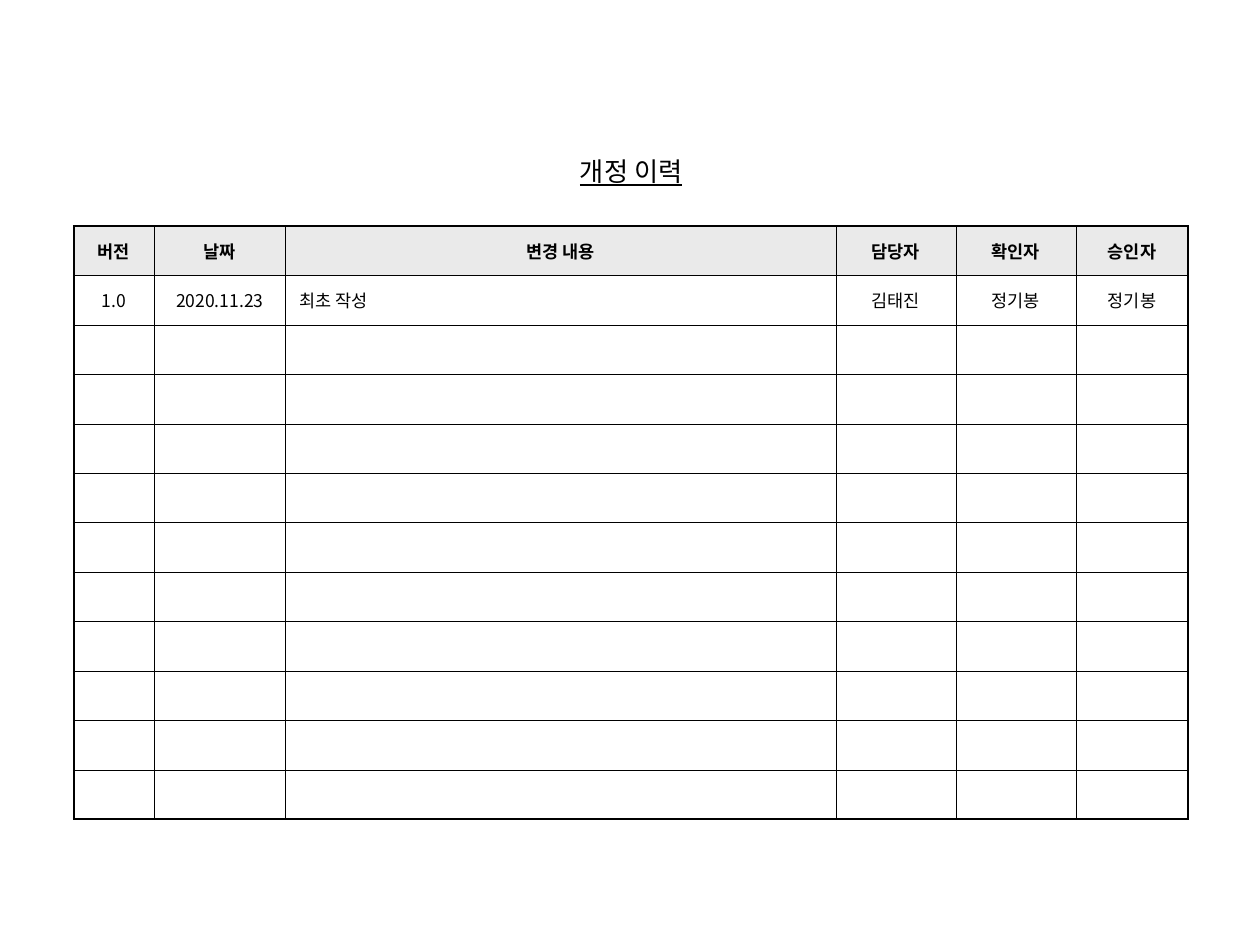
import pptx
import pptx.dml.color
import pptx.enum.text
import pptx.oxml.ns
import pptx.util
from dataclasses import dataclass
from lxml import etree

Cm = pptx.util.Cm
Pt = pptx.util.Pt
RGBColor = pptx.dml.color.RGBColor
ALIGN = pptx.enum.text.PP_ALIGN
MIDDLE = pptx.enum.text.MSO_ANCHOR.MIDDLE
qn = pptx.oxml.ns.qn


@dataclass
class Theme:
    font: str = "Noto Sans CJK KR"
    ink: str = "000000"
    header_fill: str = "EAEAEA"
    body_fill: str = "FFFFFF"
    title_size: float = 15
    table_size: float = 10
    outer_line: float = 1.5
    date_line: float = 0.5
    inner_line: float = 0.25


theme = Theme()


def write_text(frame, text, *, size, bold=False, underline=False, align=ALIGN.CENTER):
    """Write one line; an empty one only keeps its type size."""
    paragraph = frame.paragraphs[0]
    paragraph.alignment = align
    if not text:
        paragraph._p.get_or_add_endParaRPr().set("sz", str(int(size * 100)))
        return
    run = paragraph.add_run()
    run.text = text
    run.font.size = Pt(size)
    run.font.bold = bold
    run.font.underline = underline
    run.font.color.rgb = RGBColor.from_string(theme.ink)
    run.font.name = theme.font
    etree.SubElement(run.font._element, qn("a:ea"), typeface=theme.font)


def set_borders(cell, **widths):
    """Draw the cell's sides, given in points as L, R, T and B."""
    properties = cell._tc.get_or_add_tcPr()
    for side, width in widths.items():
        line = etree.SubElement(properties, qn(f"a:ln{side}"), w=str(Pt(width)))
        fill = etree.SubElement(line, qn("a:solidFill"))
        etree.SubElement(fill, qn("a:srgbClr"), val=theme.ink)


presentation = pptx.Presentation()
presentation.slide_width = Cm(25.4)
presentation.slide_height = Cm(19.05)
slide = presentation.slides.add_slide(presentation.slide_layouts[5])

# Title
title = slide.shapes.title
title.left, title.top, title.width, title.height = Cm(0.05), Cm(3.12), Cm(25.35), Cm(0.64)
frame = title.text_frame
frame.margin_left = frame.margin_right = frame.margin_top = frame.margin_bottom = 0
frame.auto_size = pptx.enum.text.MSO_AUTO_SIZE.NONE
frame.vertical_anchor = MIDDLE
write_text(frame, "개정 이력", size=theme.title_size, underline=True)

# Revision table
headers = ["버전", "날짜", "변경 내용", "담당자", "확인자", "승인자"]
revisions = [["1.0", "2020.11.23", "최초 작성", "김태진", "정기봉", "정기봉"]]
column_widths = [1.61, 2.66, 11.09, 2.42, 2.42, 2.26]
row_count = 12
table_height = Cm(11.96)
date_column, change_column = 1, 2

blank_rows = [[""] * len(headers)] * (row_count - 1 - len(revisions))
rows = [headers] + revisions + blank_rows
table = slide.shapes.add_table(
    row_count, len(headers), Cm(1.49), Cm(4.56), Cm(sum(column_widths)), table_height
).table
table.horz_banding = False
for column, width in zip(table.columns, column_widths):
    column.width = Cm(width)

# Line widths of the grid, from edge to edge
vertical_lines = [theme.inner_line] * (len(headers) + 1)
vertical_lines[0] = vertical_lines[-1] = theme.outer_line
vertical_lines[date_column + 1] = theme.date_line
horizontal_lines = [theme.inner_line] * (row_count + 1)
horizontal_lines[0] = horizontal_lines[-1] = theme.outer_line

# Cells
for row_index, texts in enumerate(rows):
    table.rows[row_index].height = table_height // row_count
    is_header = row_index == 0
    for column_index, text in enumerate(texts):
        cell = table.cell(row_index, column_index)
        cell.vertical_anchor = MIDDLE
        cell.margin_left = cell.margin_right = Cm(0.27)
        cell.margin_top = cell.margin_bottom = Cm(0.13)
        set_borders(
            cell,
            L=vertical_lines[column_index],
            R=vertical_lines[column_index + 1],
            T=horizontal_lines[row_index],
            B=horizontal_lines[row_index + 1],
        )
        cell.fill.solid()
        cell.fill.fore_color.rgb = RGBColor.from_string(
            theme.header_fill if is_header else theme.body_fill
        )
        is_left = column_index == change_column and not is_header
        write_text(
            cell.text_frame,
            text,
            size=theme.table_size,
            bold=is_header,
            align=ALIGN.LEFT if is_left else ALIGN.CENTER,
        )

presentation.save("out.pptx")
